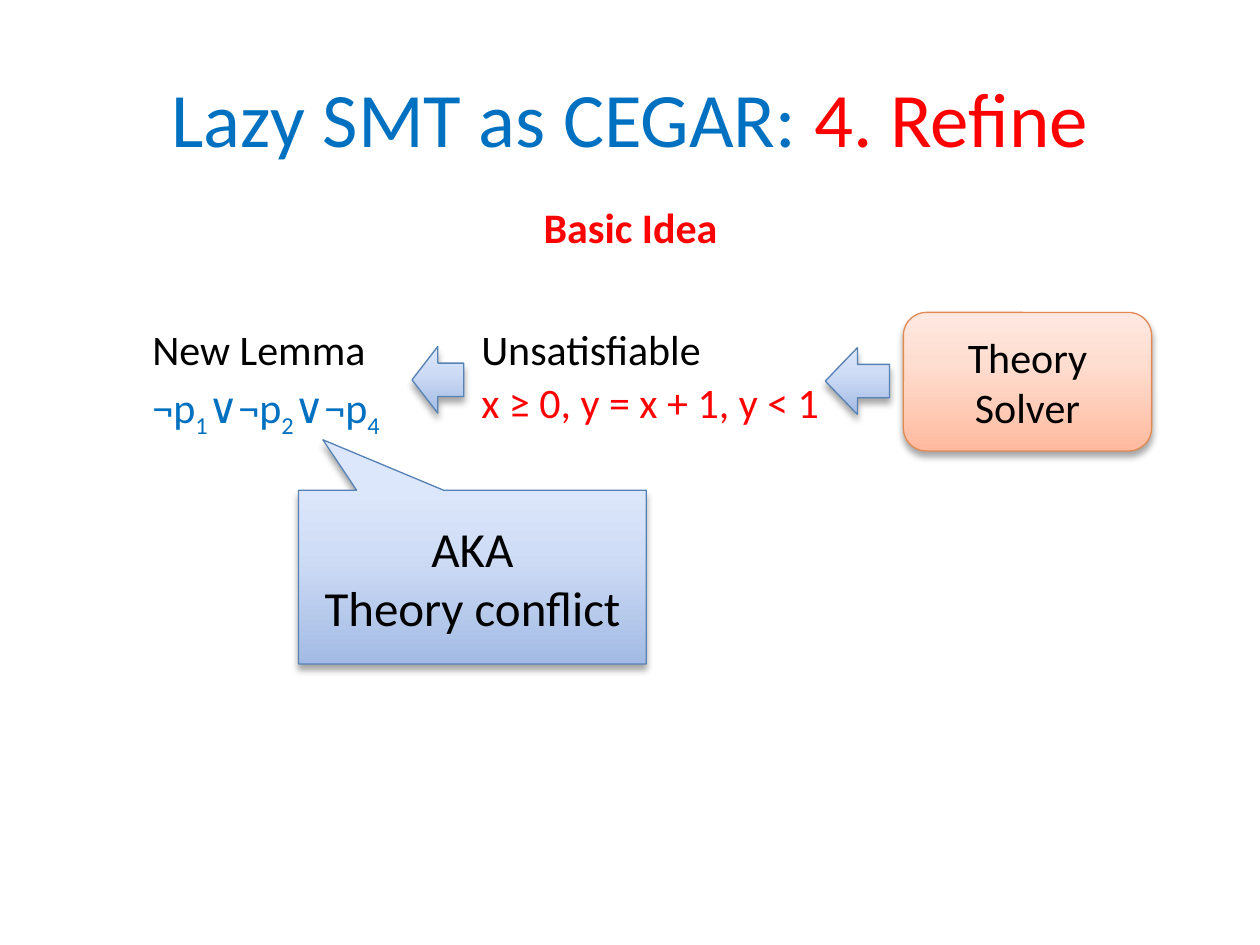
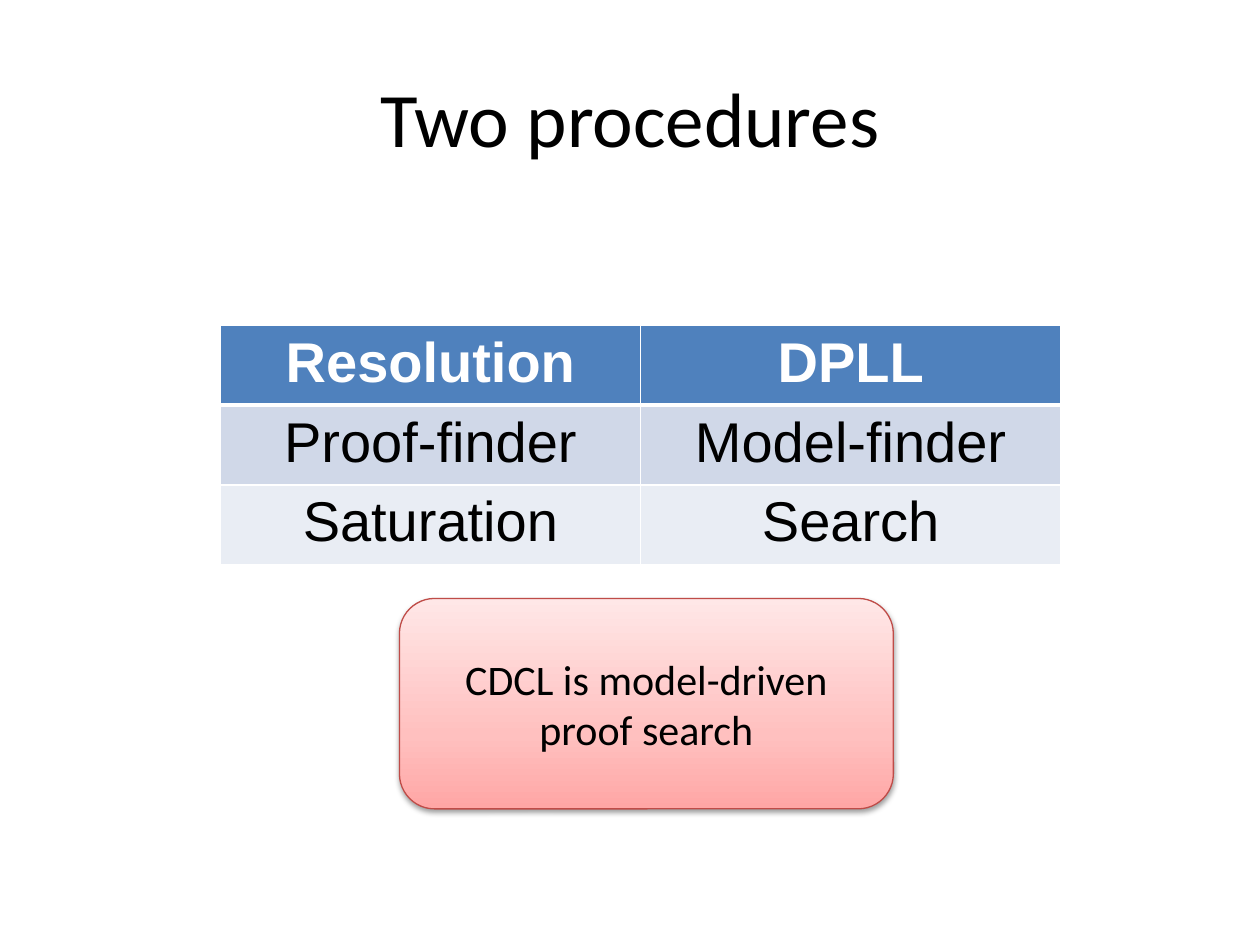
from dataclasses import dataclass

from lxml.etree import SubElement
from pptx import Presentation
from pptx.dml.color import RGBColor as RGB
from pptx.enum.shapes import MSO_SHAPE as Geo
from pptx.enum.text import MSO_ANCHOR as Anchor, PP_ALIGN as Align
from pptx.oxml.ns import qn
from pptx.shapes.autoshape import Shape
from pptx.slide import Slide
from pptx.table import _Cell as Cell
from pptx.text.text import TextFrame as Frame, _Paragraph as Para
from pptx.util import Inches, Pt

HUE = {
    "black": "000000", "white": "FFFFFF", "blue": "0070C0", "red": "FF0000",
    "head": "4F81BD", "odd": "D0D8E8", "even": "E9EDF4",
    "sky_low": "A3BBE4", "sky_mid": "D0DDF6", "sky_top": "DCE7FB", "sky_line": "5782B5",
    "peach_low": "FFBA9F", "peach_mid": "FFDED2", "peach_top": "FFE8E0", "peach_line": "E28A54",
    "rose_low": "FFA6A5", "rose_mid": "FFC0BF", "rose_top": "FFE7E7", "rose_line": "BF4C48",
}


@dataclass(frozen=True)
class Box:
    left: float
    top: float
    width: float
    height: float

    def emu(self) -> list[int]:
        return [Inches(v) for v in (self.left, self.top, self.width, self.height)]


@dataclass(frozen=True)
class Bit:
    text: str
    hue: str = "black"
    sub: bool = False


@dataclass(frozen=True)
class Style:
    size: float = 24
    font: str = "Calibri"
    bold: bool = False
    align: Align = Align.CENTER
    anchor: Anchor = Anchor.MIDDLE
    pad: tuple[float, float] = (0.1, 0.05)
    hang: bool = False


@dataclass(frozen=True)
class Tone:
    name: str
    mid: int = 65
    alpha: int = 35
    blur: float = 4
    drop: float = 3


Lines = list[list[Bit]]

TITLE = Style(size=44)
LEAD = Style(bold=True, anchor=Anchor.TOP)
NOTE = Style(align=Align.LEFT, anchor=Anchor.TOP, pad=(0, 0), hang=True)
LABEL = Style(pad=(0.12, 0.06))
CALL = Style(size=28, pad=(0.12, 0.06))
SKY = Tone("sky")
PEACH = Tone("peach")
ROSE = Tone("rose", mid=35, alpha=38, blur=3.1, drop=1.6)


def add_run(para: Para, bit: Bit, style: Style) -> None:
    run = para.add_run()
    run.text = bit.text
    font = run.font
    font.size, font.name, font.bold = Pt(style.size), style.font, style.bold
    font.color.rgb = RGB.from_string(HUE[bit.hue])
    if bit.sub:
        run._r.get_or_add_rPr().set("baseline", "-25000")


def write(frame: Frame, lines: Lines, style: Style) -> None:
    frame.word_wrap = True
    frame.vertical_anchor = style.anchor
    frame.margin_left = frame.margin_right = Inches(style.pad[0])
    frame.margin_top = frame.margin_bottom = Inches(style.pad[1])
    for i, bits in enumerate(lines):
        para = frame.add_paragraph() if i else frame.paragraphs[0]
        para.alignment = style.align
        if style.hang:
            para.line_spacing = 0.9
            para.space_before = Pt(0.2 * style.size)
            props = para._p.get_or_add_pPr()
            props.set("marL", str(Inches(0.42)))
            props.set("indent", str(Inches(-0.42)))
        for bit in bits:
            add_run(para, bit, style)


def add_text(slide: Slide, box: Box, lines: Lines, style: Style) -> None:
    write(slide.shapes.add_textbox(*box.emu()).text_frame, lines, style)


def add_title(slide: Slide, *bits: Bit) -> None:
    add_text(slide, Box(0.5, 0.3, 9, 1.25), [list(bits)], TITLE)


def paint(shape: Shape, tone: Tone) -> None:
    shape.fill.gradient()
    shape.fill.gradient_angle = 90
    props = shape._element.spPr
    stops = props.find(".//" + qn("a:gsLst"))
    stops.clear()
    for pos, part in ((0, "low"), (tone.mid, "mid"), (100, "top")):
        stop = SubElement(stops, qn("a:gs"), pos=str(pos * 1000))
        SubElement(stop, qn("a:srgbClr"), val=HUE[f"{tone.name}_{part}"])
    shape.line.color.rgb = RGB.from_string(HUE[f"{tone.name}_line"])
    shape.line.width = Pt(0.75)
    shape.shadow.inherit = False
    shade = SubElement(
        props.find(qn("a:effectLst")), qn("a:outerShdw"), blurRad=str(Pt(tone.blur)),
        dist=str(Pt(tone.drop)), dir="5400000", rotWithShape="0",
    )
    color = SubElement(shade, qn("a:srgbClr"), val=HUE["black"])
    SubElement(color, qn("a:alpha"), val=str(tone.alpha * 1000))


def add_block(slide: Slide, geo: Geo, box: Box, tone: Tone,
              lines: Lines | None = None, style: Style = LABEL) -> Shape:
    shape = slide.shapes.add_shape(geo, *box.emu())
    paint(shape, tone)
    if lines:
        write(shape.text_frame, lines, style)
    return shape


def edge(cell: Cell, base: float) -> None:
    props = cell._tc.get_or_add_tcPr()
    widths = {"L": 1, "R": 1, "T": 1, "B": base}
    for i, (side, width) in enumerate(widths.items()):
        line = SubElement(props, qn(f"a:ln{side}"), w=str(Pt(width)))
        fill = SubElement(line, qn("a:solidFill"))
        SubElement(fill, qn("a:srgbClr"), val=HUE["white"])
        props.insert(i, line)


def add_grid(slide: Slide, box: Box, rows: list[tuple[str, ...]]) -> None:
    grid = slide.shapes.add_table(len(rows), len(rows[0]), *box.emu()).table
    for r, row in enumerate(rows):
        head = r == 0
        fill = "head" if head else "odd" if r % 2 else "even"
        style = Style(size=32, font="Arial", bold=head, anchor=Anchor.TOP)
        for c, word in enumerate(row):
            cell = grid.cell(r, c)
            cell.fill.solid()
            cell.fill.fore_color.rgb = RGB.from_string(HUE[fill])
            edge(cell, 3 if head else 1)
            write(cell.text_frame, [[Bit(word, "white" if head else "black")]], style)


def draw_refine(slide: Slide) -> None:
    add_title(slide, Bit("Lazy SMT as CEGAR: ", "blue"), Bit("4. Refine", "red"))
    add_text(slide, Box(0.42, 1.55, 9.17, 2.42), [[Bit("Basic Idea", "red")]], LEAD)
    add_block(slide, Geo.ROUNDED_RECTANGLE, Box(7.17, 2.48, 1.97, 1.1), PEACH,
              [[Bit("Theory")], [Bit("Solver")]])
    for box in (Box(6.55, 2.76, 0.51, 0.53), Box(3.27, 2.75, 0.41, 0.53)):
        add_block(slide, Geo.LEFT_ARROW, box, SKY)
    add_text(slide, Box(3.82, 2.61, 2.73, 0.81),
             [[Bit("Unsatisfiable")], [Bit("x ≥ 0, y = x + 1, y < 1", "red")]], NOTE)
    lemma = [
        bit for i, num in enumerate("124")
        for bit in (Bit("∨¬p" if i else "¬p", "blue"), Bit(num, "blue", True))
    ]
    add_text(slide, Box(1.21, 2.61, 2.73, 1.7), [[Bit("New Lemma")], lemma], NOTE)
    call = add_block(slide, Geo.RECTANGULAR_CALLOUT, Box(2.37, 3.89, 2.76, 1.38), SKY,
                     [[Bit("AKA")], [Bit("Theory conflict")]], CALL)
    call.adjustments[0], call.adjustments[1] = -0.43, -0.79


def draw_pair(slide: Slide) -> None:
    add_title(slide, Bit("Two procedures"))
    add_grid(slide, Box(1.75, 2.58, 6.67, 1.78), [
        ("Resolution", "DPLL"),
        ("Proof-finder", "Model-finder"),
        ("Saturation", "Search"),
    ])
    add_block(slide, Geo.ROUNDED_RECTANGLE, Box(3.17, 4.75, 3.92, 1.67), ROSE,
              [[Bit("CDCL is model-driven proof search")]], Style())


def main() -> None:
    deck = Presentation()
    deck.slide_width, deck.slide_height = Inches(10), Inches(7.5)
    for draw in (draw_refine, draw_pair):
        draw(deck.slides.add_slide(deck.slide_layouts[6]))
    deck.save("out.pptx")


if __name__ == "__main__":
    main()
